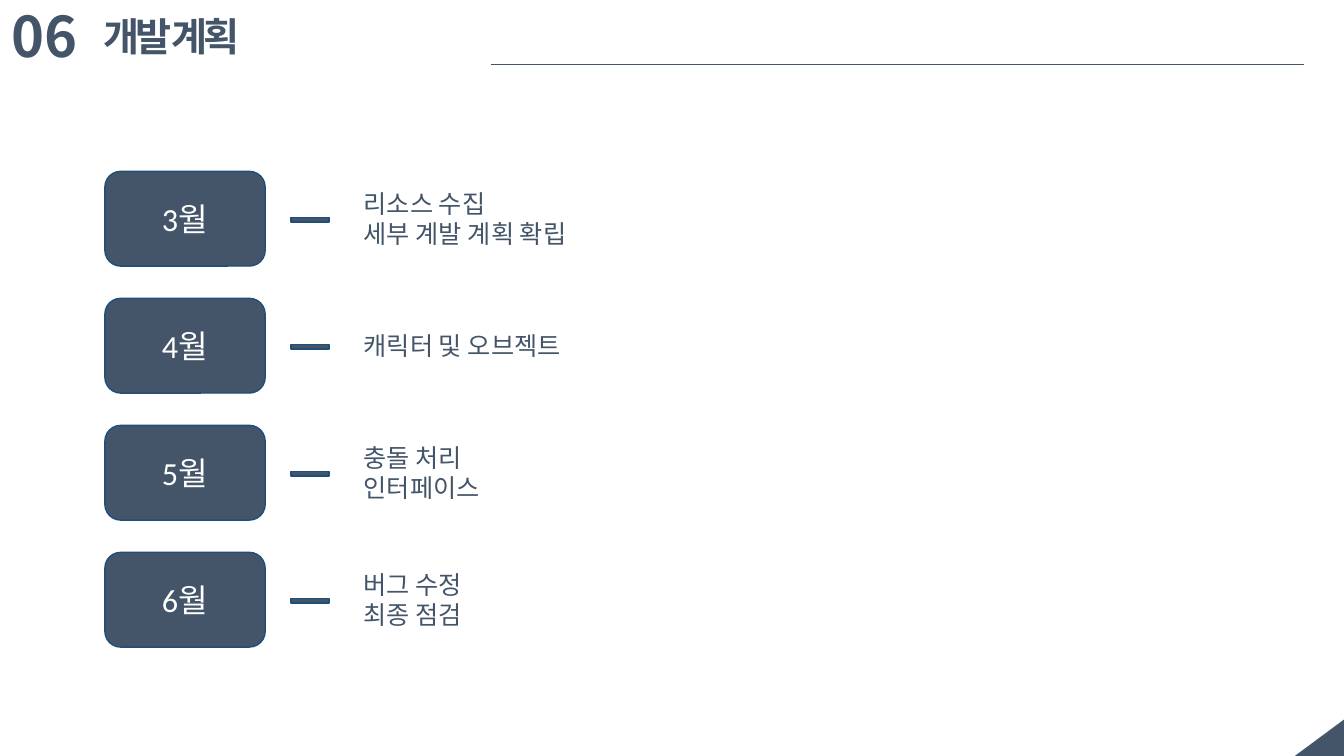
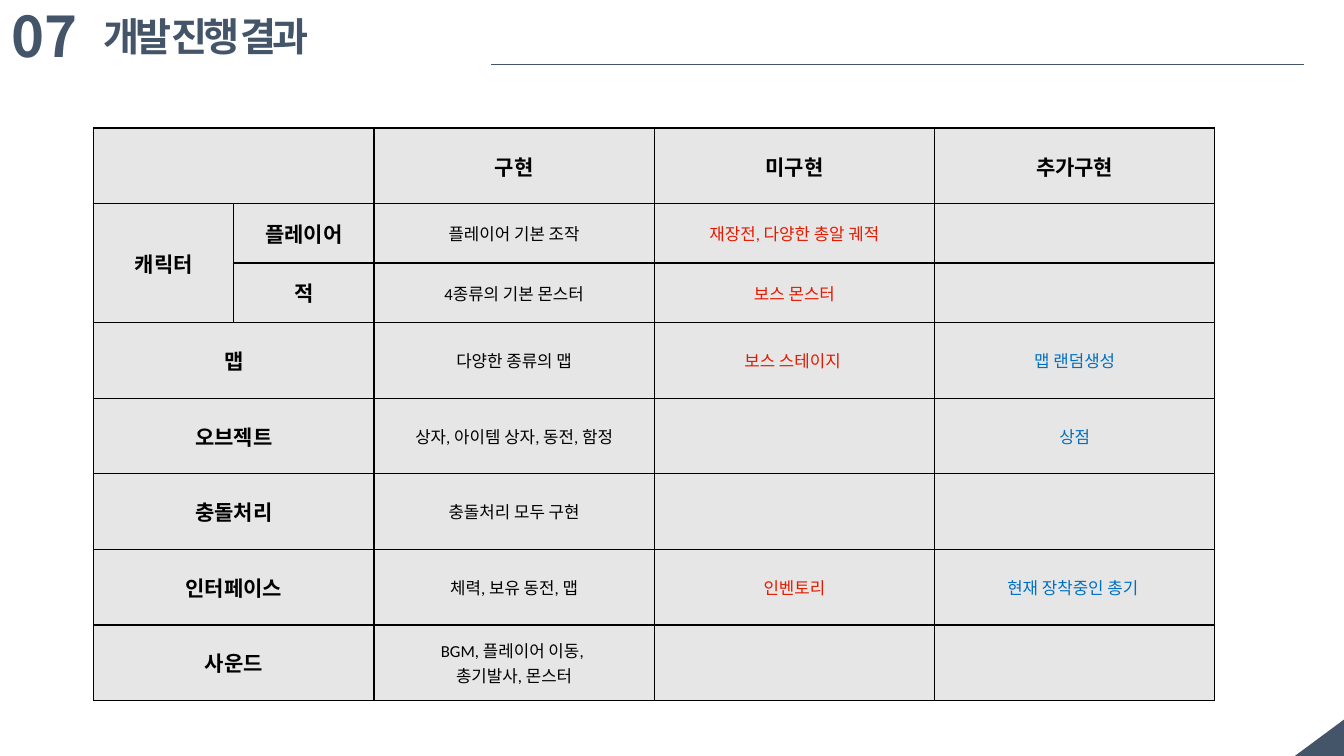
from dataclasses import dataclass

from lxml.etree import SubElement
from pptx import Presentation
from pptx.dml.color import RGBColor
from pptx.enum.shapes import MSO_CONNECTOR, MSO_SHAPE
from pptx.enum.text import MSO_ANCHOR, PP_ALIGN
from pptx.oxml.ns import qn
from pptx.slide import Slide
from pptx.util import Inches, Pt

COLORS = {
    "navy": "445569",
    "outline": "1F4E79",
    "white": "FFFFFF",
    "black": "000000",
    "cell": "E7E6E6",
    "missing": "E41A00",
    "extra": "0070C0",
}

# Text styles: font attributes, plus a color name
STYLES = {
    "number": ({"name": "Noto Sans CJK KR", "size": Pt(40), "bold": True}, "navy"),
    "title": ({"name": "Arial", "size": Pt(28), "bold": True}, "navy"),
    "month": ({"name": "Calibri", "size": Pt(23)}, "white"),
    "task": ({"name": "Calibri", "size": Pt(18)}, "navy"),
    "heading": ({"name": "Calibri", "size": Pt(15), "bold": True}, "black"),
    "done": ({"name": "Calibri", "size": Pt(12)}, "black"),
    "missing": ({"name": "Calibri", "size": Pt(12)}, "missing"),
    "extra": ({"name": "Calibri", "size": Pt(12)}, "extra"),
}
TITLE_SPACING = "-300"


@dataclass(frozen=True)
class Box:
    left: float
    top: float
    width: float
    height: float

    def lengths(self) -> tuple:
        return tuple(Inches(value) for value in (self.left, self.top, self.width, self.height))


@dataclass(frozen=True)
class Month:
    name: str
    tasks: tuple[str, ...]


@dataclass(frozen=True)
class ResultRow:
    group: str
    subgroup: str = ""
    done: str = ""
    missing: str = ""
    extra: str = ""


MONTHS = [
    Month("3월", ("리소스 수집", "세부 계발 계획 확립")),
    Month("4월", ("캐릭터 및 오브젝트",)),
    Month("5월", ("충돌 처리", "인터페이스")),
    Month("6월", ("버그 수정", "최종 점검")),
]
HEADINGS = ("", "", "구현", "미구현", "추가구현")
RESULTS = [
    ResultRow("캐릭터", "플레이어", "플레이어 기본 조작", "재장전, 다양한 총알 궤적"),
    ResultRow("", "적", "4종류의 기본 몬스터", "보스 몬스터"),
    ResultRow("맵", "", "다양한 종류의 맵", "보스 스테이지 ", "맵 랜덤생성"),
    ResultRow("오브젝트", "", "상자, 아이템 상자, 동전, 함정", "", "상점"),
    ResultRow("충돌처리", "", "충돌처리 모두 구현"),
    ResultRow("인터페이스", "", "체력, 보유 동전, 맵", "인벤토리", "현재 장착중인 총기 "),
    ResultRow("사운드", "", "BGM, 플레이어 이동, \n총기발사, 몬스터"),
]
COLUMN_WIDTHS = [1.39] * 2 + [2.78] * 3
ROW_HEIGHTS = [0.75] + [0.59] * 2 + [0.75] * 5


def rgb(name: str) -> RGBColor:
    return RGBColor.from_string(COLORS[name])


def write(text_frame, lines, style: str, alignment=PP_ALIGN.LEFT) -> None:
    attributes, color = STYLES[style]
    for index, line in enumerate(lines):
        paragraph = text_frame.add_paragraph() if index else text_frame.paragraphs[0]
        paragraph.alignment = alignment
        run = paragraph.add_run()
        run.text = line
        for attribute, value in attributes.items():
            setattr(run.font, attribute, value)
        run.font.color.rgb = rgb(color)
        if style == "title":
            run._r.get_or_add_rPr().set("spc", TITLE_SPACING)


def add_text(slide: Slide, box: Box, lines, style: str) -> None:
    text_frame = slide.shapes.add_textbox(*box.lengths()).text_frame
    text_frame.word_wrap = True
    write(text_frame, lines, style)


def add_filled_shape(slide: Slide, kind: MSO_SHAPE, box: Box, outlined: bool = True):
    shape = slide.shapes.add_shape(kind, *box.lengths())
    shape.shadow.inherit = False
    shape.fill.solid()
    shape.fill.fore_color.rgb = rgb("navy")
    if outlined:
        shape.line.color.rgb = rgb("outline")
        shape.line.width = Pt(1)
    else:
        shape.line.fill.background()
    return shape


def add_base_slide(presentation, number: str, title: str, title_width: float) -> Slide:
    slide = presentation.slides.add_slide(presentation.slide_layouts[6])
    # Corner triangle
    corner = add_filled_shape(slide, MSO_SHAPE.RIGHT_TRIANGLE, Box(12.9, 7.07, 0.37, 0.5), False)
    corner.rotation = 270
    # Number and title
    add_text(slide, Box(0.02, -0.03, 1.27, 0.77), [number], "number")
    add_text(slide, Box(0.93, 0.07, title_width, 0.57), [title], "title")
    # Header rule
    rule = slide.shapes.add_connector(
        MSO_CONNECTOR.STRAIGHT, Inches(4.87), Inches(0.64), Inches(12.93), Inches(0.64))
    rule.line.color.rgb = rgb("navy")
    rule.line.width = Pt(0.75)
    SubElement(rule._element.spPr, qn("a:effectLst"))
    return slide


def add_month(slide: Slide, month: Month, top: float) -> None:
    height = 0.94
    middle = top + height / 2
    badge = add_filled_shape(slide, MSO_SHAPE.ROUNDED_RECTANGLE, Box(1.04, top, 1.59, height))
    badge.text_frame.vertical_anchor = MSO_ANCHOR.MIDDLE
    write(badge.text_frame, [month.name], "month", PP_ALIGN.CENTER)
    add_filled_shape(slide, MSO_SHAPE.MATH_MINUS, Box(2.82, middle - 0.09, 0.51, 0.2))
    text_height = 0.4 + 0.31 * (len(month.tasks) - 1)
    add_text(slide, Box(3.51, middle - text_height / 2, 3, text_height), month.tasks, "task")


def format_cell(cell) -> None:
    properties = cell._tc.get_or_add_tcPr()
    for side in ("lnL", "lnR", "lnT", "lnB"):
        border = SubElement(properties, qn(f"a:{side}"), w=str(Pt(1)))
        fill = SubElement(border, qn("a:solidFill"))
        SubElement(fill, qn("a:srgbClr"), val=COLORS["black"])
    cell.fill.solid()
    cell.fill.fore_color.rgb = rgb("cell")
    cell.vertical_anchor = MSO_ANCHOR.MIDDLE


def add_results_table(slide: Slide) -> None:
    box = Box(0.93, 1.27, sum(COLUMN_WIDTHS), sum(ROW_HEIGHTS))
    table = slide.shapes.add_table(len(ROW_HEIGHTS), len(COLUMN_WIDTHS), *box.lengths()).table
    table.first_row = table.horz_banding = False
    for column, width in zip(table.columns, COLUMN_WIDTHS):
        column.width = Inches(width)
    for row, height in zip(table.rows, ROW_HEIGHTS):
        row.height = Inches(height)

    # Cell contents
    rows = [HEADINGS] + [
        (result.group, result.subgroup, result.done, result.missing, result.extra)
        for result in RESULTS
    ]
    body_styles = ("heading", "heading", "done", "missing", "extra")
    for row_index, texts in enumerate(rows):
        for column_index, text in enumerate(texts):
            cell = table.cell(row_index, column_index)
            format_cell(cell)
            if text:
                style = body_styles[column_index] if row_index else "heading"
                write(cell.text_frame, text.split("\n"), style, PP_ALIGN.CENTER)

    # Merged labels: rows without a subgroup span both label columns
    for row_index, texts in enumerate(rows):
        if not texts[1]:
            table.cell(row_index, 0).merge(table.cell(row_index, 1))
    table.cell(1, 0).merge(table.cell(2, 0))


def main() -> None:
    presentation = Presentation()
    presentation.slide_width = Inches(13.33)
    presentation.slide_height = Inches(7.5)

    # Development plan
    plan = add_base_slide(presentation, "06", "개발 계획", 1.7)
    for index, month in enumerate(MONTHS):
        add_month(plan, month, 1.7 + 1.26 * index)

    # Development results
    results = add_base_slide(presentation, "07", "개발 진행 결과", 2.5)
    add_results_table(results)

    presentation.save("out.pptx")


if __name__ == "__main__":
    main()
